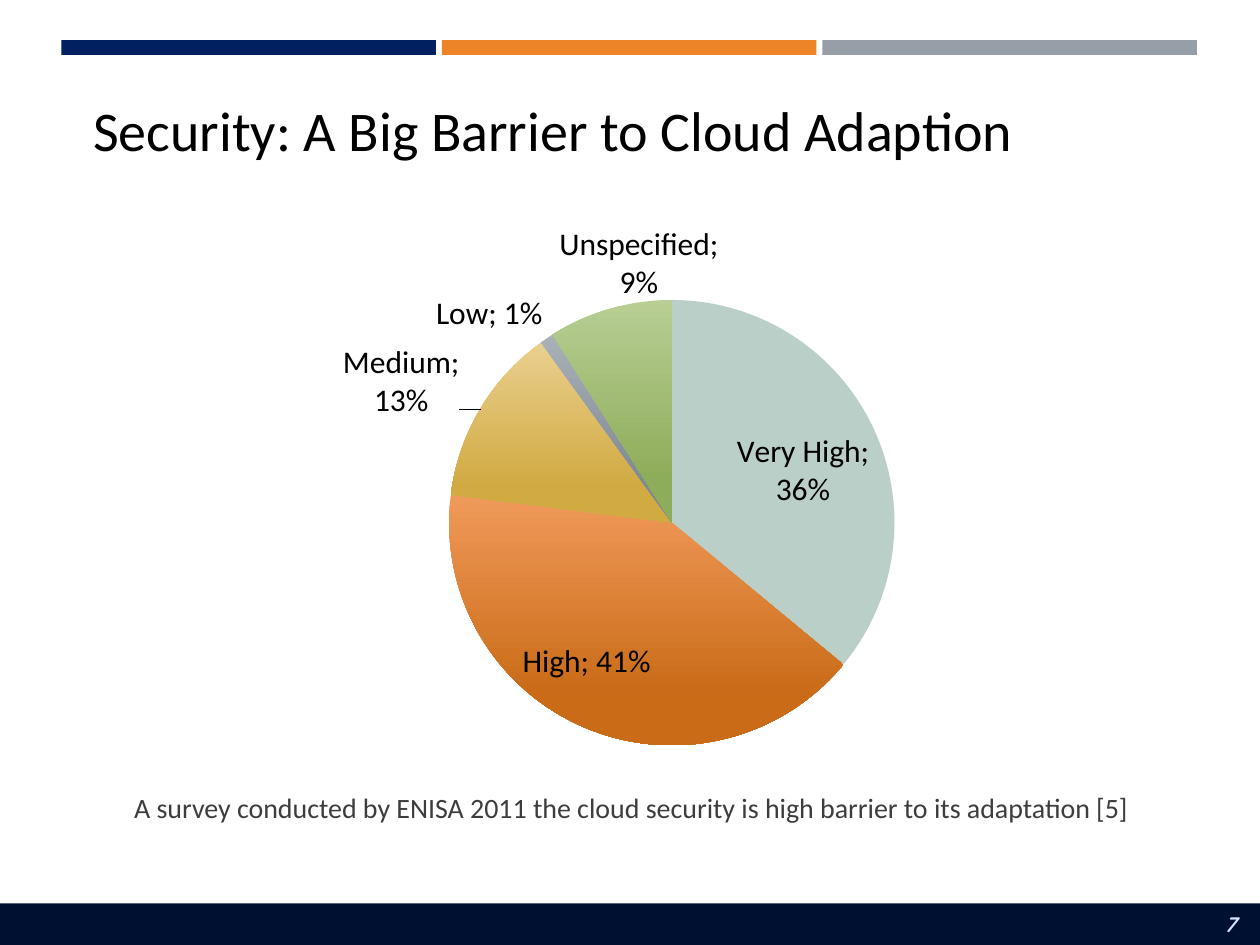
from dataclasses import dataclass

from lxml.etree import SubElement
from pptx import Presentation
from pptx.chart.data import CategoryChartData
from pptx.dml.color import RGBColor
from pptx.enum.chart import XL_CHART_TYPE as ChartType, XL_LABEL_POSITION as LabelPosition
from pptx.enum.shapes import MSO_SHAPE as Preset
from pptx.enum.text import MSO_ANCHOR as Anchor, PP_ALIGN as Align
from pptx.oxml import parse_xml
from pptx.oxml.ns import nsdecls, qn
from pptx.util import Cm, Pt


@dataclass(frozen=True)
class Theme:
    """Colours, fonts and type sizes of the slide."""
    navy: str = "002060"
    orange: str = "ED8428"
    grey: str = "969FA7"
    footer: str = "001030"
    number: str = "D6E3FF"
    black: str = "000000"
    caption: str = "3D3D3D"
    font: str = "Calibri"
    number_font: str = "Quicksand"
    title_size: int = 32
    label_size: int = 18
    caption_size: int = 16
    number_size: int = 12


SLICES = [
    ("Very High", 0.36, ("BACFC7",)),
    ("High", 0.41, ("F09A5A", "C96B17")),
    ("Medium", 0.13, ("EAD08F", "D1AA42")),
    ("Low", 0.01, ("A9B1B8", "7F8992")),
    ("Unspecified", 0.09, ("B8CE94", "8EAD5A")),
]


class SlideBuilder:
    """Holds the theme and the current slide and draws its elements."""

    def __init__(self, slide, theme):
        """Keep the slide and its theme."""
        self.slide = slide
        self.theme = theme

    def set_font(self, font, **values):
        """Apply format values to a font."""
        values = {"name": self.theme.font, **values}
        values["size"] = Pt(values["size"])
        font.color.rgb = RGBColor.from_string(values.pop("color"))
        for name, value in values.items():
            setattr(font, name, value)

    def bar(self, left, top, width, height, color):
        """Draw a plain filled rectangle."""
        shape = self.slide.shapes.add_shape(
            Preset.RECTANGLE, Cm(left), Cm(top), Cm(width), Cm(height))
        shape.shadow.inherit = False
        shape.fill.solid()
        shape.fill.fore_color.rgb = RGBColor.from_string(color)
        shape.line.fill.background()

    def text(self, left, top, width, height, words, align=Align.LEFT,
             anchor=Anchor.MIDDLE, **font_values):
        """Add a wrapped text box with one paragraph."""
        box = self.slide.shapes.add_textbox(Cm(left), Cm(top), Cm(width), Cm(height))
        frame = box.text_frame
        frame.word_wrap = True
        frame.vertical_anchor = anchor
        para = frame.paragraphs[0]
        para.alignment = align
        span = para.add_run()
        span.text = words
        self.set_font(span.font, **font_values)

    def fill_slice(self, fill, colors):
        """Fill a slice with one colour or a downward gradient."""
        if len(colors) == 1:
            fill.solid()
            fill.fore_color.rgb = RGBColor.from_string(colors[0])
            return
        fill.gradient()
        fill.gradient_angle = 270
        for stop, color, position in zip(fill.gradient_stops, colors, (0, 0.8)):
            stop.color.rgb = RGBColor.from_string(color)
            stop.position = position

    def pie(self, left, top, width, height, slices, plot_area):
        """Add a pie chart with category and value labels."""
        data = CategoryChartData(number_format="0%")
        data.categories = [name for name, _, _ in slices]
        data.add_series("Series 1", [value for _, value, _ in slices])
        chart = self.slide.shapes.add_chart(
            ChartType.PIE, Cm(left), Cm(top), Cm(width), Cm(height), data).chart
        chart.has_legend = False
        chart.has_title = False
        label_font = {"size": self.theme.label_size, "color": self.theme.black}
        self.set_font(chart.font, **label_font)
        plot = chart.plots[0]
        plot.vary_by_categories = True
        series = plot.series[0]
        for index, (_, _, colors) in enumerate(slices):
            point = series.points[index]
            self.fill_slice(point.format.fill, colors)
            point.format.line.fill.background()
        labels = series.data_labels
        self.set_font(labels.font, **label_font)
        values = {"show_category_name": True, "show_value": True,
                  "show_percentage": False, "number_format": "0%",
                  "number_format_is_linked": False, "position": LabelPosition.BEST_FIT}
        for name, value in values.items():
            setattr(labels, name, value)
        self.finish_labels(labels._element)
        self.place_plot(chart, plot_area)

    def finish_labels(self, element):
        """Set the label separator and leader lines."""
        for tag in ("c:separator", "c:showLeaderLines"):
            for old in element.findall(qn(tag)):
                element.remove(old)
        SubElement(element, qn("c:separator")).text = "; "
        SubElement(element, qn("c:showLeaderLines")).set("val", "1")

    def place_plot(self, chart, plot_area):
        """Fix the inner plot area as fractions of the chart."""
        area = chart._chartSpace.chart.plotArea
        for old in area.findall(qn("c:layout")):
            area.remove(old)
        sizes = "".join(f'<c:{key} val="{value}"/>' for key, value in plot_area.items())
        area.insert(0, parse_xml(
            f'<c:layout {nsdecls("c")}><c:manualLayout><c:layoutTarget val="inner"/>'
            f'<c:xMode val="edge"/><c:yMode val="edge"/>{sizes}</c:manualLayout></c:layout>'))


def main():
    """Build the slide and save it."""
    theme = Theme()
    deck = Presentation()
    deck.slide_width, deck.slide_height = Cm(25.4), Cm(19.05)
    page = SlideBuilder(deck.slides.add_slide(deck.slide_layouts[6]), theme)

    for index, color in enumerate((theme.navy, theme.orange, theme.grey)):
        page.bar(1.24 + index * 7.67, 0.81, 7.55, 0.3, color)
    page.bar(0, 18.21, 25.4, 0.84, theme.footer)
    page.text(21.36, 18.21, 3.81, 0.84, "7", align=Align.RIGHT,
              name=theme.number_font, size=theme.number_size, color=theme.number,
              bold=True, italic=True)
    page.text(1.63, 1.35, 22.2, 2.49, "Security: A Big Barrier to Cloud Adaption",
              size=theme.title_size, color=theme.black)
    page.text(1.63, 15.82, 22.2, 0.97,
              "A survey conducted by ENISA 2011 the cloud security is high barrier "
              "to its adaptation [5]",
              align=Align.CENTER, anchor=Anchor.TOP,
              size=theme.caption_size, color=theme.caption)
    page.pie(4.65, 4.11, 16.94, 11.28, SLICES,
             {"x": 0.26, "y": 0.17, "w": 0.53, "h": 0.8})
    deck.save("out.pptx")


if __name__ == "__main__":
    main()
